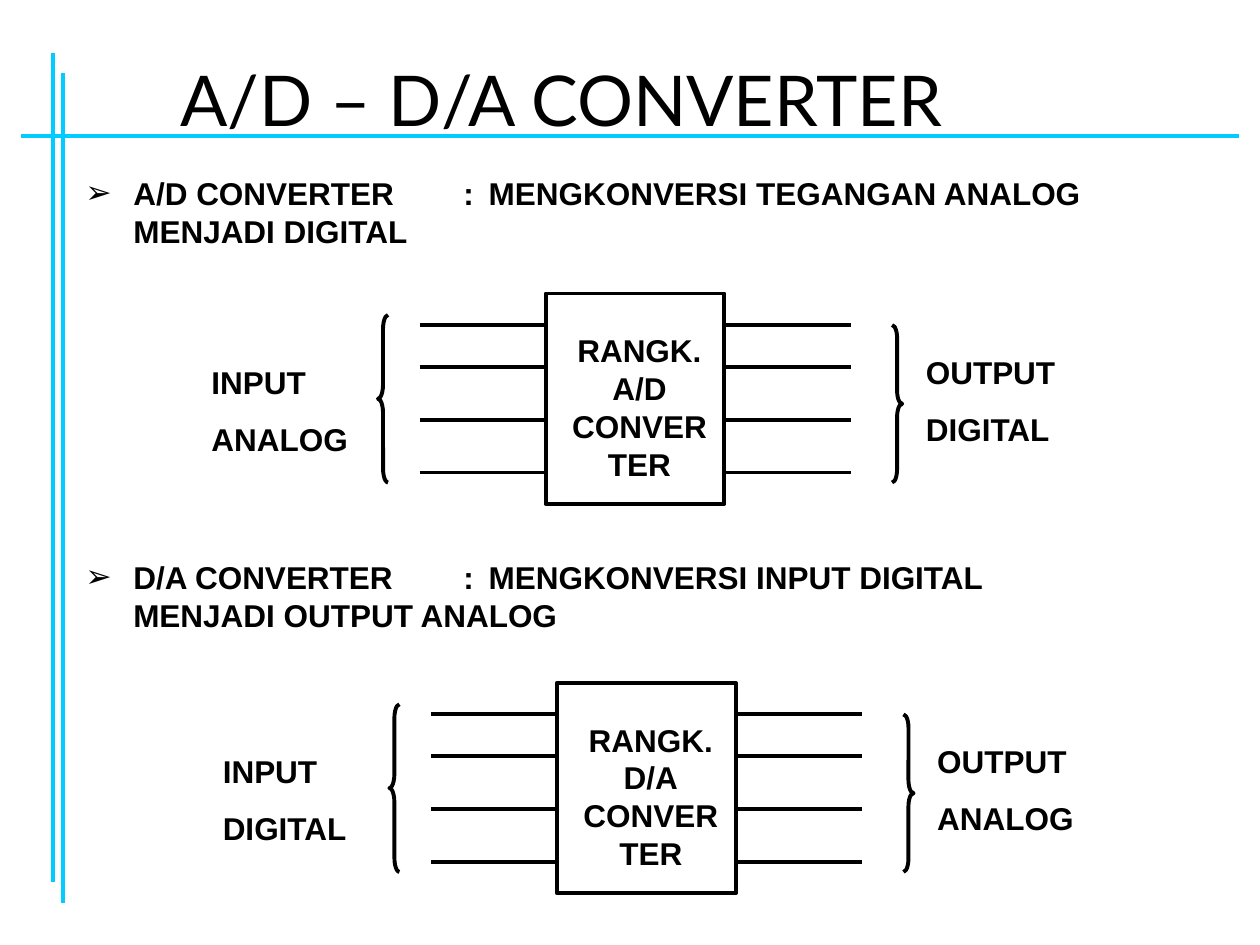
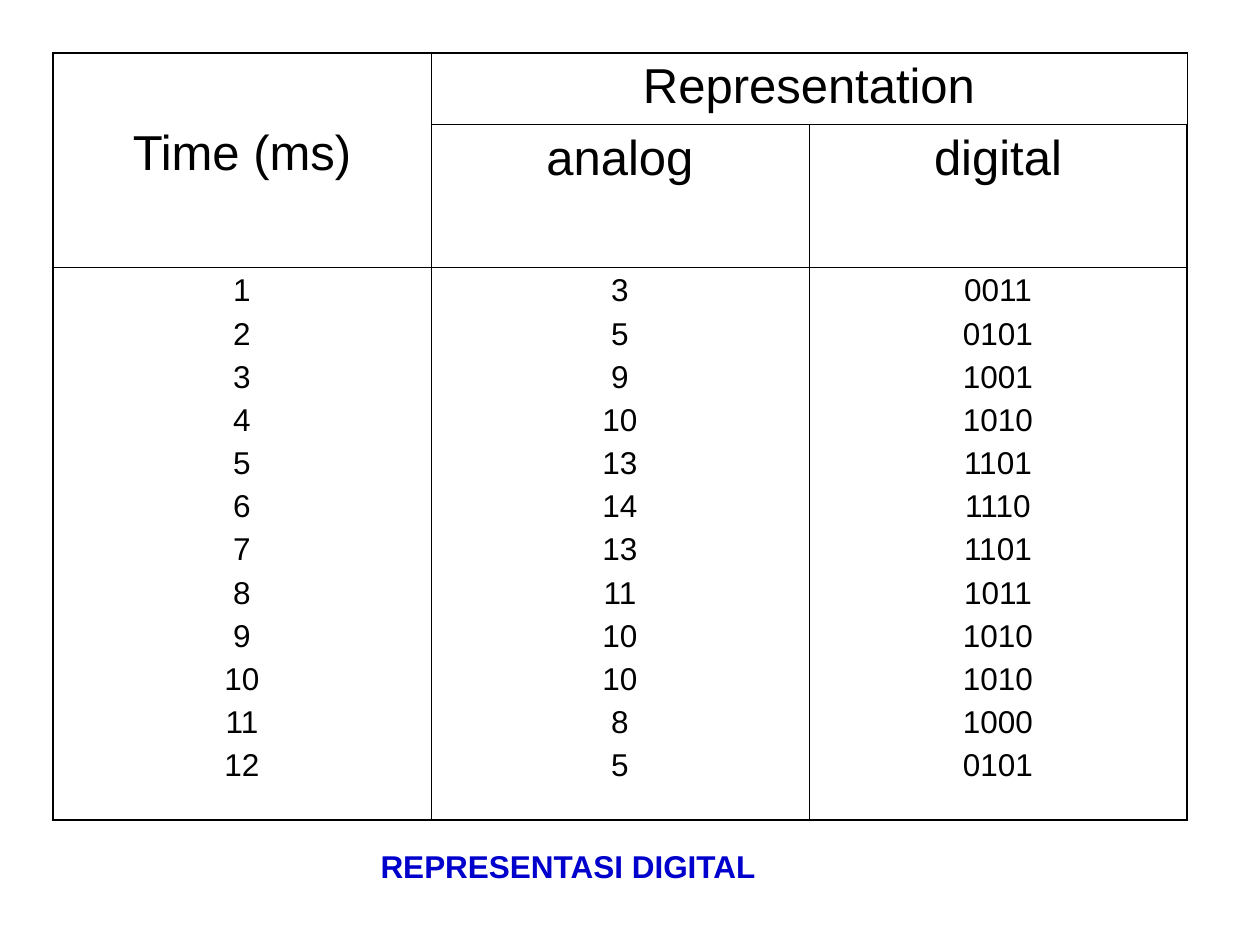
from dataclasses import dataclass

from lxml import etree
from pptx import Presentation
from pptx import util as u
from pptx.dml.color import RGBColor
from pptx.enum import shapes, text
from pptx.oxml import ns

TITLE_ONLY = 5


@dataclass(frozen=True)
class Theme:
    ink: str = "000000"
    accent: str = "00CCFF"
    caption: str = "0000CC"
    body_font: str = "Arial"
    title_font: str = "Lato"
    title: float = 40
    header: float = 28
    body: float = 18
    stroke: float = 2.25
    outer_border: float = 1.08
    inner_border: float = 0.45


THEME = Theme()

# Character formats
LABEL = {"name": THEME.body_font, "size": u.Pt(THEME.body), "bold": True}
TITLE = {"name": THEME.title_font, "size": u.Pt(THEME.title), "bold": False}
HEADER = {"name": THEME.body_font, "size": u.Pt(THEME.header)}
READING = {"name": THEME.body_font, "size": u.Pt(THEME.body)}

LEFT, CENTER = text.PP_ALIGN.LEFT, text.PP_ALIGN.CENTER


def set_all(target, values):
    for key, value in values.items():
        setattr(target, key, value)


def add_xml(parent, tag, **attributes):
    return etree.SubElement(parent, ns.qn(tag), attributes)


def inches(*lengths):
    return [u.Inches(length) for length in lengths]


class Deck:
    """Holds the theme and the current slide, and draws each kind of element."""

    def __init__(self, theme):
        self.theme = theme
        self.presentation = Presentation()
        set_all(self.presentation, {"slide_width": u.Inches(10), "slide_height": u.Inches(7.5)})
        self.slide = None

    def new_slide(self):
        self.slide = self.presentation.slides.add_slide(
            self.presentation.slide_layouts[TITLE_ONLY])

    def fill_text(self, frame, lines, style, align=LEFT, gap=0, color=None):
        """Add one paragraph per line, with the gap only between paragraphs."""
        for index, line in enumerate(lines):
            paragraph = frame.add_paragraph() if index else frame.paragraphs[0]
            set_all(paragraph, {"alignment": align, "space_before": u.Pt(gap if index else 0)})
            run = paragraph.add_run()
            run.text = line
            set_all(run.font, style)
            run.font.color.rgb = RGBColor.from_string(color or self.theme.ink)

    def title(self, wording, box, style, color=None):
        placeholder = self.slide.shapes.title
        set_all(placeholder, dict(zip(("left", "top", "width", "height"), inches(*box))))
        frame = placeholder.text_frame
        set_all(frame, {"word_wrap": True, "auto_size": text.MSO_AUTO_SIZE.NONE,
                        "vertical_anchor": text.MSO_ANCHOR.TOP})
        self.fill_text(frame, [wording], style, color=color)

    def text(self, lines, box, align=LEFT, gap=0):
        frame = self.slide.shapes.add_textbox(*inches(*box)).text_frame
        frame.word_wrap = True
        self.fill_text(frame, lines, LABEL, align, gap)
        return frame

    def definition(self, wording, box):
        """A bulleted term, tabbed to its colon and its meaning."""
        paragraph = self.text([wording], box).paragraphs[0]
        properties = paragraph._p.get_or_add_pPr()
        properties.set("marL", str(u.Inches(0.38)))
        properties.set("indent", str(u.Inches(-0.38)))
        add_xml(add_xml(properties, "a:buClr"), "a:srgbClr", val=self.theme.ink)
        add_xml(properties, "a:buFont", typeface=self.theme.body_font)
        add_xml(properties, "a:buChar", char="➢")
        tabs = add_xml(properties, "a:tabLst")
        for stop in (3, 3.2):
            add_xml(tabs, "a:tab", pos=str(u.Inches(stop)), algn="l")

    def outline(self, preset, box):
        shape = self.slide.shapes.add_shape(preset, *inches(*box))
        shape.shadow.inherit = False
        shape.fill.background()
        self.stroke(shape.line, self.theme.ink)
        return shape

    def brace(self, preset, box):
        width, height = box[2:]
        self.outline(preset, box).adjustments[0] = height / 12 / width

    def stroke(self, line, color):
        line.width = u.Pt(self.theme.stroke)
        line.color.rgb = RGBColor.from_string(color)

    def line(self, ends, color=None, parent=None):
        connector = (parent or self.slide).shapes.add_connector(
            shapes.MSO_CONNECTOR.STRAIGHT, *inches(*ends))
        self.stroke(connector.line, color or self.theme.ink)
        add_xml(connector._element.spPr, "a:effectLst")

    def table(self, origin, widths, heights):
        frame = self.slide.shapes.add_table(
            len(heights), len(widths), *inches(*origin, sum(widths), sum(heights)))
        table = frame.table
        set_all(table, {"first_row": False, "horz_banding": False})
        for column, width in zip(table.columns, widths):
            column.width = u.Inches(width)
        for row, height in zip(table.rows, heights):
            row.height = u.Inches(height)
        last_row, last_column = len(heights) - 1, len(widths) - 1
        for r in range(len(heights)):
            for c in range(len(widths)):
                cell = table.cell(r, c)
                outer = {"a:lnL": c == 0, "a:lnR": c == last_column,
                         "a:lnT": r == 0, "a:lnB": r == last_row}
                for side, is_outer in outer.items():
                    self.border(cell, side, is_outer)
                cell.fill.background()
        return table

    def border(self, cell, side, is_outer):
        width = self.theme.outer_border if is_outer else self.theme.inner_border
        edge = add_xml(cell._tc.get_or_add_tcPr(), side, w=str(u.Pt(width)))
        add_xml(add_xml(edge, "a:solidFill"), "a:srgbClr", val=self.theme.ink)


def draw_converter(deck, left, top, kind, source, result):
    """A converter box with four pins a side, braces and signal labels."""
    width, pin = 1.42, 1
    deck.outline(shapes.MSO_SHAPE.RECTANGLE, (left, top, width, 1.67))
    deck.text(["RANGK.", kind, "CONVERTER"], (left + 0.07, top + 0.25, 1.35, 1.3), CENTER)
    for pin_start in (left + width, left - pin):
        for drop in (0.25, 0.58, 1, 1.42):
            deck.line((pin_start, top + drop, pin_start + pin, top + drop))
    deck.brace(shapes.MSO_SHAPE.RIGHT_BRACE, (left + 2.75, top + 0.25, 0.08, 1.25))
    deck.brace(shapes.MSO_SHAPE.LEFT_BRACE, (left - 1.33, top + 0.17, 0.08, 1.33))
    deck.text(["INPUT", source], (left - 2.75, top + 0.5, 1.33, 0.86), gap=11.2)
    deck.text(["OUTPUT", result], (left + 2.92, top + 0.42, 1.33, 0.86), gap=11.2)


def draw_converters(deck):
    deck.new_slide()
    deck.title("A/D – D/A CONVERTER", (1.33, 0.4, 7.58, 0.77), TITLE)

    # Definitions
    deck.definition("A/D CONVERTER\t:\tMENGKONVERSI TEGANGAN ANALOG MENJADI DIGITAL",
                    (0.58, 1.33, 8.42, 0.7))
    deck.definition("D/A CONVERTER\t:\tMENGKONVERSI INPUT DIGITAL MENJADI OUTPUT ANALOG",
                    (0.58, 4.38, 8.17, 0.7))

    # Circuit diagrams
    draw_converter(deck, 4.33, 2.33, "A/D", "ANALOG", "DIGITAL")
    draw_converter(deck, 4.42, 5.42, "D/A", "DIGITAL", "ANALOG")

    # Crossed accent rules
    rules = deck.slide.shapes.add_group_shape()
    for ends in ((0.17, 1.08, 9.83, 1.08), (0.42, 0.42, 0.42, 7), (0.5, 0.58, 0.5, 7.17)):
        deck.line(ends, deck.theme.accent, rules)


def draw_representation(deck):
    deck.new_slide()
    deck.title("REPRESENTASI DIGITAL", (2.92, 6.67, 4.33, 0.4), LABEL, deck.theme.caption)

    # Headings, with time spanning two rows and representation two columns
    samples = deck.table((0.42, 0.42), (3, 3, 3), (0.57, 1.13, 4.39))
    samples.cell(0, 0).merge(samples.cell(1, 0))
    samples.cell(0, 1).merge(samples.cell(0, 2))
    headings = {(0, 0): "Time (ms)", (0, 1): "Representation",
                (1, 1): "analog", (1, 2): "digital"}
    for position, heading in headings.items():
        deck.fill_text(samples.cell(*position).text_frame, [heading], HEADER, CENTER)
    samples.cell(0, 0).margin_top = u.Inches(0.58)

    # Readings: the digital column is the four-bit form of the analog one
    analog = (3, 5, 9, 10, 13, 14, 13, 11, 10, 10, 8, 5)
    readings = (range(1, len(analog) + 1), analog, [f"{level:04b}" for level in analog])
    for column, values in enumerate(readings):
        deck.fill_text(samples.cell(2, column).text_frame, map(str, values), READING, CENTER, 4.5)


def main():
    deck = Deck(THEME)
    draw_converters(deck)
    draw_representation(deck)
    deck.presentation.save("out.pptx")


if __name__ == "__main__":
    main()
